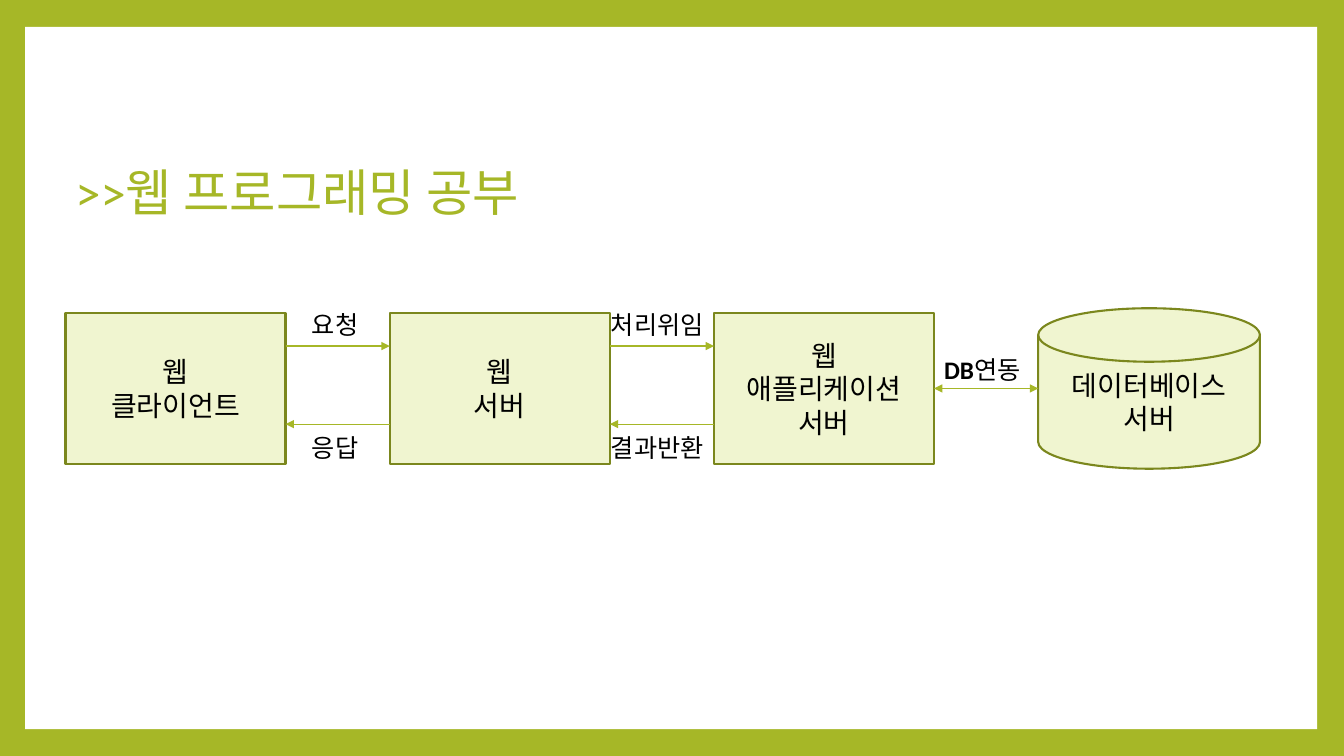
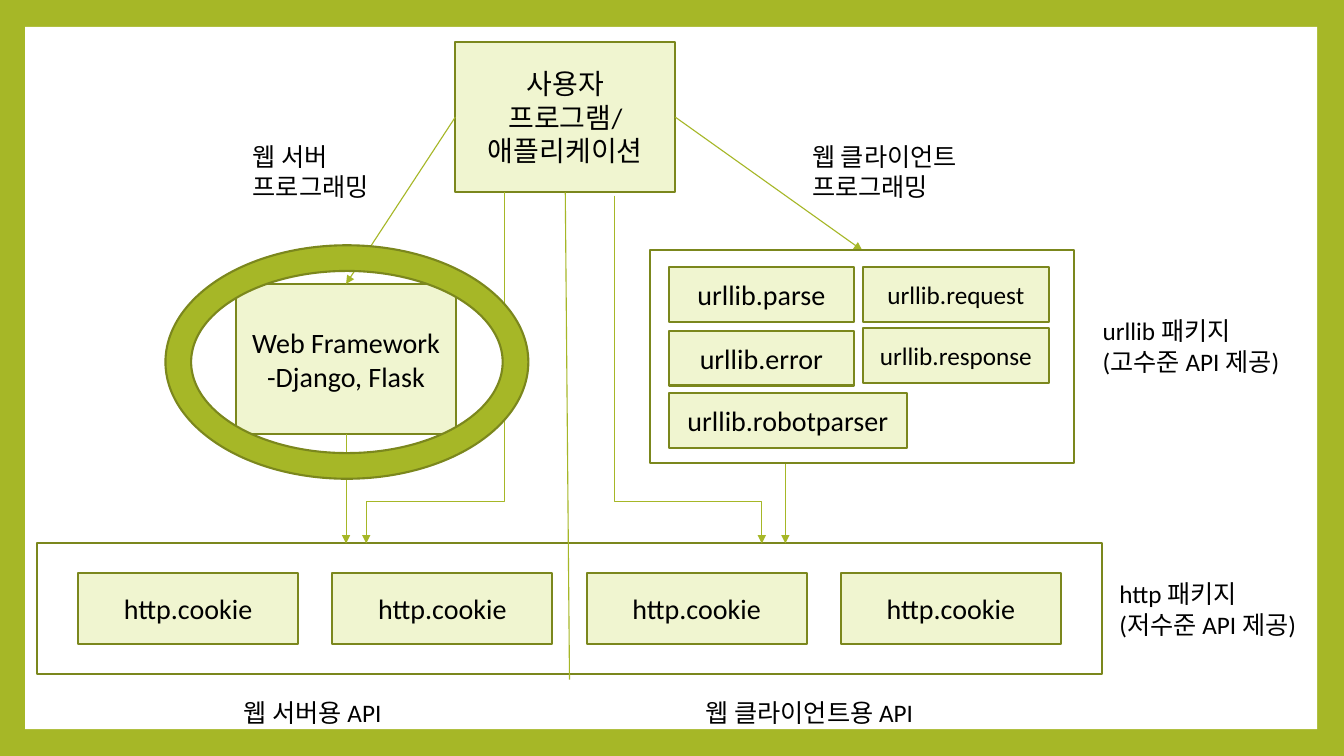
from dataclasses import dataclass

from lxml.etree import SubElement
from pptx import Presentation
from pptx.dml.color import RGBColor
from pptx.enum.shapes import MSO_CONNECTOR as Connector, MSO_SHAPE as Shape
from pptx.enum.text import MSO_ANCHOR as Anchor, MSO_AUTO_SIZE as AutoSize, PP_ALIGN as Align
from pptx.oxml.ns import qn
from pptx.util import Inches, Pt

# The slide is a grid of 160 columns and 90 rows of square cells.
COLUMNS, ROWS = 160, 90
CELL = Inches(13.333) / COLUMNS

FONT = "Calibri"
GREEN, DARK_GREEN, PALE_GREEN = "A6B727", "7B871D", "F0F5D0"
WHITE, BLACK = "FFFFFF", "000000"

NODE_WIDTH, NODE_HEIGHT = 26.2, 17.9
LINE_HEIGHT, TWO_LINES = 4.8, 8.5
TOP, LEFT, BOTTOM, RIGHT = range(4)


@dataclass
class Box:
    left: float
    top: float
    width: float
    height: float

    @property
    def right(self):
        return self.left + self.width

    @property
    def bottom(self):
        return self.top + self.height

    @property
    def centre(self):
        return self.left + self.width / 2

    @property
    def middle(self):
        return self.top + self.height / 2

    def inside(self, left, top, width, height):
        """Box whose position is counted from this box's corner."""
        return Box(self.left + left, self.top + top, width, height)

    def lengths(self):
        return [cells(value) for value in (self.left, self.top, self.width, self.height)]


def cells(count):
    return round(count * CELL)


def colour(hex_string):
    return RGBColor.from_string(hex_string)


def write_text(shape, text, *, size=18, color=BLACK, align=Align.LEFT,
               anchor=Anchor.TOP, wrap=False, bold_start=""):
    """One paragraph per line; bold_start is set in bold before the first line."""
    frame = shape.text_frame
    frame.word_wrap = wrap
    frame.vertical_anchor = anchor
    for index, line in enumerate(text.split("\n")):
        paragraph = frame.add_paragraph() if index else frame.paragraphs[0]
        paragraph.alignment = align
        pieces = [(line, False)]
        if bold_start and index == 0:
            pieces.insert(0, (bold_start, True))
        for words, bold in pieces:
            run = paragraph.add_run()
            run.text = words
            run.font.name = FONT
            run.font.size = Pt(size)
            run.font.bold = bold
            run.font.color.rgb = colour(color)


def add_label(slide, box, text, **text_format):
    label = slide.shapes.add_textbox(*box.lengths())
    write_text(label, text, **text_format)
    label.text_frame.auto_size = AutoSize.SHAPE_TO_FIT_TEXT
    return label


def add_block(slide, box, text="", *, kind=Shape.RECTANGLE, fill=PALE_GREEN,
              line=DARK_GREEN, size=20):
    block = slide.shapes.add_shape(kind, *box.lengths())
    block.shadow.inherit = False
    if fill:
        block.fill.solid()
        block.fill.fore_color.rgb = colour(fill)
    else:
        block.fill.background()
    if line:
        block.line.color.rgb = colour(line)
        block.line.width = Pt(1.5)
    else:
        block.line.fill.background()
    if text:
        write_text(block, text, size=size, align=Align.CENTER,
                   anchor=Anchor.MIDDLE, wrap=True)
    return block


def add_line(slide, start, end, *, kind=Connector.STRAIGHT, head=False, tail=True):
    line = slide.shapes.add_connector(kind, *map(cells, (*start, *end)))
    line.line.color.rgb = colour(GREEN)
    line.line.width = Pt(0.79)
    properties = line._element.spPr
    outline = properties.find(qn("a:ln"))
    for wanted, tag in ((head, "a:headEnd"), (tail, "a:tailEnd")):
        if wanted:
            SubElement(outline, qn(tag), type="triangle")
    SubElement(properties, qn("a:effectLst"))
    return line


def add_descending_elbow(slide, start, end, bend):
    """Arrow that goes down, sideways and down; bend is the share of the height."""
    (start_x, start_y), (end_x, end_y) = start, end
    length, spread = end_y - start_y, abs(end_x - start_x)
    lying = Box((start_x + end_x - length) / 2, (start_y + end_y - spread) / 2,
                length, spread)
    from_x, to_x, degrees = lying.left, lying.right, 90
    if end_x > start_x:
        from_x, to_x, degrees = lying.right, lying.left, 270
    elbow = add_line(slide, (from_x, lying.top), (to_x, lying.bottom),
                     kind=Connector.ELBOW)
    properties = elbow._element.spPr
    properties.find(qn("a:xfrm")).set("rot", str(degrees * 60000))
    adjustments = properties.find(qn("a:prstGeom")).find(qn("a:avLst"))
    SubElement(adjustments, qn("a:gd"), name="adj1", fmla=f"val {round(bend * 100000)}")


def add_framed_slide(presentation):
    slide = presentation.slides.add_slide(presentation.slide_layouts[6])
    add_block(slide, Box(3, 3.2, 153.8, 83.6), fill=WHITE, line=None)
    return slide


def add_server_chain(slide, area):
    pitch = 38.6
    names = ["웹\n클라이언트", "웹\n서버", "웹\n애플리케이션\n서버"]
    boxes = [area.inside(index * pitch, 0, NODE_WIDTH, NODE_HEIGHT)
             for index in range(len(names))]
    nodes = [add_block(slide, box, name) for box, name in zip(boxes, names)]
    database = area.inside(len(names) * pitch, -0.6, 26.4, 19.1)
    add_block(slide, database, "데이터베이스\n서버", kind=Shape.FLOWCHART_MAGNETIC_DISK)

    exchanges = [("요청", "응답", 8.5), ("처리위임", "결과반환", 14.5)]
    for left_box, right_box, (request, reply, width) in zip(boxes, boxes[1:], exchanges):
        start, end = left_box.right, right_box.left
        label_left = (start + end - width) / 2
        request_row, reply_row = area.top + 3.9, area.top + 13.2
        add_line(slide, (start, request_row), (end, request_row))
        add_line(slide, (end, reply_row), (start, reply_row))
        add_label(slide, Box(label_left, area.top - 1.1, width, LINE_HEIGHT), request)
        add_label(slide, Box(label_left, area.top + 13.6, width, LINE_HEIGHT), reply)

    last = boxes[-1]
    link = add_line(slide, (last.right, last.middle), (database.left, last.middle), head=True)
    link.begin_connect(nodes[-1], RIGHT)
    add_label(slide, Box(last.right, area.top + 4.3, pitch - NODE_WIDTH, LINE_HEIGHT),
              "연동", bold_start="DB")


def add_http_package(slide, area):
    for index in range(4):
        cell = area.inside(4.9 + index * 30.27, 3.5, NODE_WIDTH, 8.5)
        add_block(slide, cell, "http.cookie")
    add_block(slide, area, fill=None)
    add_label(slide, area.inside(23.4, 17.7, 21.2, LINE_HEIGHT), "웹 서버용 API")
    add_label(slide, area.inside(78.4, 17.7, 30.4, LINE_HEIGHT), "웹 클라이언트용 API")
    add_label(slide, area.inside(127.7, 3.6, NODE_WIDTH, TWO_LINES),
              "http 패키지\n(저수준 API 제공)", wrap=True)


def add_urllib_package(slide, area):
    left_column, right_column = 2.2, 25.3
    modules = [
        ("urllib.parse", left_column, 2, 22.1, 20),
        ("urllib.request", right_column, 2, 22.2, 18),
        ("urllib.error", left_column, 9.6, 22.1, 20),
        ("urllib.response", right_column, 9.3, 22.2, 18),
        ("urllib.robotparser", left_column, 17, 28.4, 20),
    ]
    for name, left, top, width, size in modules:
        add_block(slide, area.inside(left, top, width, 6.5), name, size=size)
    add_label(slide, area.inside(52.7, 7.2, NODE_WIDTH, TWO_LINES),
              "urllib 패키지\n(고수준 API 제공)", wrap=True)
    return add_block(slide, area, fill=None)


def add_highlight_ring(slide, box):
    ring = add_block(slide, box, kind=Shape.DONUT, fill=GREEN)
    ring.adjustments[0] = 0.11


def build_overview_slide(presentation):
    slide = add_framed_slide(presentation)
    add_label(slide, Box(7.8, 18.6, 59.5, 8.5), ">>웹 프로그래밍 공부", size=36, color=GREEN)
    add_server_chain(slide, Box(7.8, 37.3, 142.2, NODE_HEIGHT))


def build_library_slide(presentation):
    slide = add_framed_slide(presentation)
    user_box = Box(54.2, 5, NODE_WIDTH, NODE_HEIGHT)
    framework_box = Box(28.1, 33.8, NODE_WIDTH, NODE_HEIGHT)
    urllib_box = Box(77.4, 29.8, 50.5, 25.3)
    http_box = Box(4.4, 64.7, 126.8, 15.5)

    user = add_block(slide, user_box, "사용자\n프로그램/\n애플리케이션")
    framework = add_block(slide, framework_box, "Web Framework\n-Django, Flask")
    add_http_package(slide, http_box)

    divider = add_line(slide, (user_box.centre, user_box.bottom), (67.8, 80.9), tail=False)
    divider.begin_connect(user, BOTTOM)
    to_framework = add_line(slide, (user_box.left, user_box.middle),
                            (framework_box.centre, framework_box.top))
    to_framework.begin_connect(user, LEFT)
    to_framework.end_connect(framework, TOP)
    to_urllib = add_line(slide, (user_box.right, user_box.middle),
                         (urllib_box.centre, urllib_box.top))
    to_urllib.begin_connect(user, RIGHT)
    framework_to_http = add_line(slide, (framework_box.centre, framework_box.bottom),
                                 (framework_box.centre, http_box.top))
    framework_to_http.begin_connect(framework, BOTTOM)
    add_line(slide, (93.5, urllib_box.bottom), (93.5, http_box.top))
    add_descending_elbow(slide, (60.1, user_box.bottom), (43.6, http_box.top), 0.88)
    add_descending_elbow(slide, (73.2, user_box.bottom + 0.4), (90.7, http_box.top), 0.88)

    add_label(slide, Box(28.9, 16.2, 17.5, TWO_LINES), "웹 서버\n프로그래밍")
    add_label(slide, Box(95.5, 16.2, 21.7, TWO_LINES), "웹 클라이언트\n프로그래밍")
    urllib_package = add_urllib_package(slide, urllib_box)
    to_urllib.end_connect(urllib_package, TOP)
    add_highlight_ring(slide, Box(19.7, 29.2, 43.2, 27.8))


def main():
    presentation = Presentation()
    presentation.slide_width = cells(COLUMNS)
    presentation.slide_height = cells(ROWS)
    background = presentation.slide_master.background.fill
    background.solid()
    background.fore_color.rgb = colour(GREEN)
    build_overview_slide(presentation)
    build_library_slide(presentation)
    presentation.save("out.pptx")


if __name__ == "__main__":
    main()
